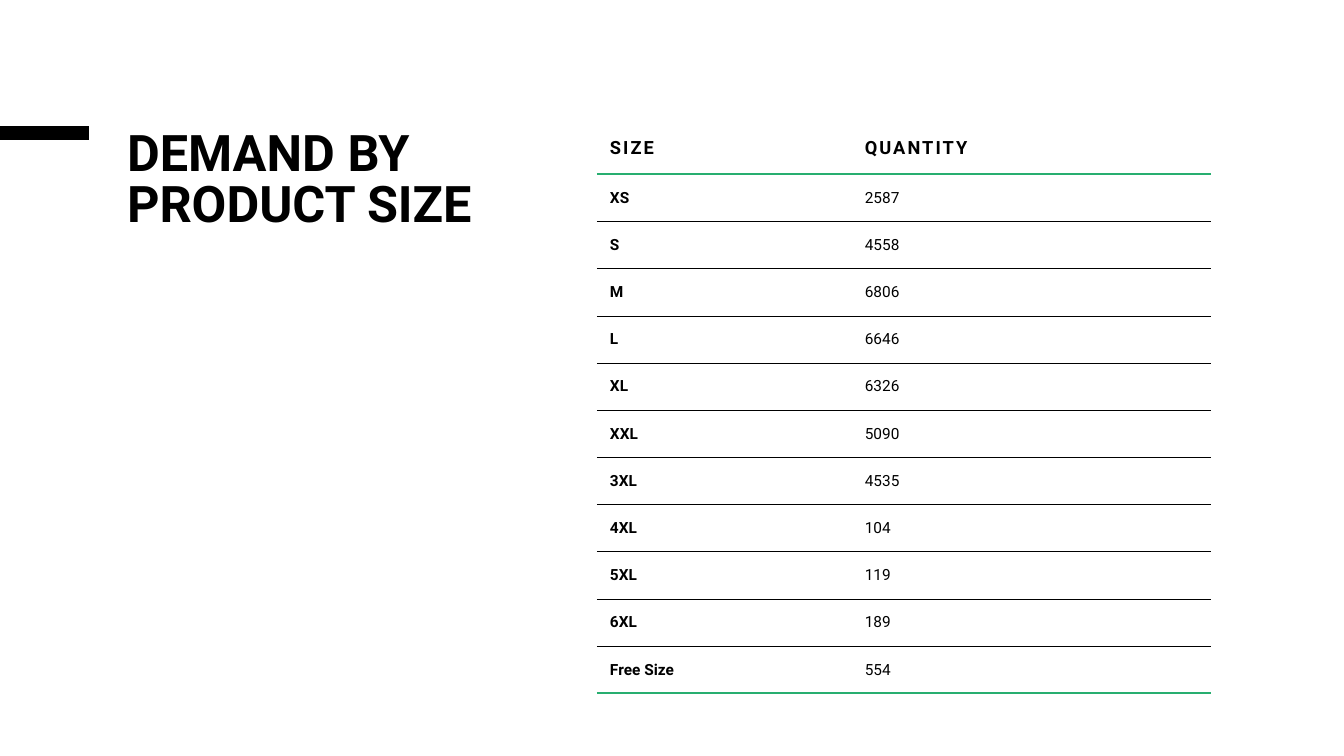
from dataclasses import dataclass

from lxml import etree
from pptx import Presentation
from pptx.dml.color import RGBColor
from pptx.enum.shapes import MSO_CONNECTOR
from pptx.enum.text import MSO_ANCHOR, MSO_AUTO_SIZE, PP_ALIGN
from pptx.oxml.ns import qn
from pptx.util import Inches, Pt

STRAIGHT = MSO_CONNECTOR.STRAIGHT
TOP, MIDDLE = MSO_ANCHOR.TOP, MSO_ANCHOR.MIDDLE
NO_FIT = MSO_AUTO_SIZE.NONE
LEFT = PP_ALIGN.LEFT


@dataclass(frozen=True)
class Theme:
    font: str = "Roboto"
    ink: str = "000000"
    accent: str = "28AE70"
    title: float = 36
    header: float = 13
    body: float = 11
    bar: float = 9.5
    rule: float = 0.5
    accent_rule: float = 1.5
    tracking: float = 1.5
    pad: float = 0.13


THEME = Theme()
WIDTH, HEIGHT = 13.33, 7.5
CONTENT_TOP = 1.22
HEADER_SHARE = 0.09
SIZE_SHARE = 0.415

DEMAND = [
    ("SIZE", "QUANTITY"),
    ("XS", "2587"),
    ("S", "4558"),
    ("M", "6806"),
    ("L", "6646"),
    ("XL", "6326"),
    ("XXL", "5090"),
    ("3XL", "4535"),
    ("4XL", "104"),
    ("5XL", "119"),
    ("6XL", "189"),
    ("Free Size", "554"),
]


def style(p, size, bold):
    p.alignment = LEFT
    p.font.name = THEME.font
    p.font.size = Pt(size)
    p.font.bold = bold
    p.font.color.rgb = RGBColor.from_string(THEME.ink)


def add_bar(s, left, y, width):
    bar = s.shapes.add_connector(
        STRAIGHT, Inches(left), Inches(y), Inches(left + width), Inches(y))
    bar.line.color.rgb = RGBColor.from_string(THEME.ink)
    bar.line.width = Pt(THEME.bar)
    etree.SubElement(bar._element.spPr, qn("a:effectLst"))


def add_title(s, text, left, top, width, height):
    sp = s.shapes.title
    sp.left, sp.top = Inches(left), Inches(top)
    sp.width, sp.height = Inches(width), Inches(height)
    tf = sp.text_frame
    tf.text = text
    tf.word_wrap = True
    tf.auto_size = NO_FIT
    tf.vertical_anchor = TOP
    tf.margin_left = tf.margin_right = Inches(0.07)
    tf.margin_top = tf.margin_bottom = Inches(0.07)
    p = tf.paragraphs[0]
    p.line_spacing = 0.85
    style(p, THEME.title, True)


def set_borders(cell, top, bottom):
    tc_pr = cell._tc.get_or_add_tcPr()
    sides = (("lnL", None), ("lnR", None), ("lnT", top), ("lnB", bottom))
    for i, (side, border) in enumerate(sides):
        ln = etree.Element(qn(f"a:{side}"))
        if border:
            color, width = border
            ln.set("w", str(Pt(width)))
            fill = etree.SubElement(ln, qn("a:solidFill"))
            etree.SubElement(fill, qn("a:srgbClr")).set("val", color)
        else:
            etree.SubElement(ln, qn("a:noFill"))
        tc_pr.insert(i, ln)


def fill_cell(cell, text, is_header, bold):
    cell.text = text
    cell.vertical_anchor = MIDDLE
    cell.margin_left = cell.margin_right = Inches(THEME.pad)
    cell.margin_top = cell.margin_bottom = Inches(THEME.pad)
    cell.fill.background()
    p = cell.text_frame.paragraphs[0]
    style(p, THEME.header if is_header else THEME.body, bold)
    if is_header:
        r = p.runs[0]
        r._r.get_or_add_rPr().set("spc", str(int(THEME.tracking * 100)))


def add_demand_table(s, data, left, top, width, height):
    table = s.shapes.add_table(
        len(data), len(data[0]), Inches(left), Inches(top),
        Inches(width), Inches(height)).table
    table.first_row = table.horz_banding = False
    for column, share in zip(table.columns, (SIZE_SHARE, 1 - SIZE_SHARE)):
        column.width = Inches(width * share)

    body_share = (1 - HEADER_SHARE) / (len(data) - 1)
    accent = (THEME.accent, THEME.accent_rule)
    thin = (THEME.ink, THEME.rule)
    rules = [None, accent] + [thin] * (len(data) - 2) + [accent]
    for i, values in enumerate(data):
        share = body_share if i else HEADER_SHARE
        table.rows[i].height = Inches(height * share)
        for j, text in enumerate(values):
            cell = table.cell(i, j)
            fill_cell(cell, text, i == 0, i == 0 or j == 0)
            set_borders(cell, rules[i], rules[i + 1])


def add_demand_slide(prs):
    s = prs.slides.add_slide(prs.slide_layouts[5])
    add_bar(s, 0, 1.32, 0.88)
    add_title(s, "DEMAND BY PRODUCT SIZE", 1.19, CONTENT_TOP, 4.29, 4.47)
    add_demand_table(s, DEMAND, 5.92, CONTENT_TOP, 6.09, 5.66)


def main():
    prs = Presentation()
    prs.slide_width, prs.slide_height = Inches(WIDTH), Inches(HEIGHT)
    add_demand_slide(prs)
    prs.save("out.pptx")


if __name__ == "__main__":
    main()
